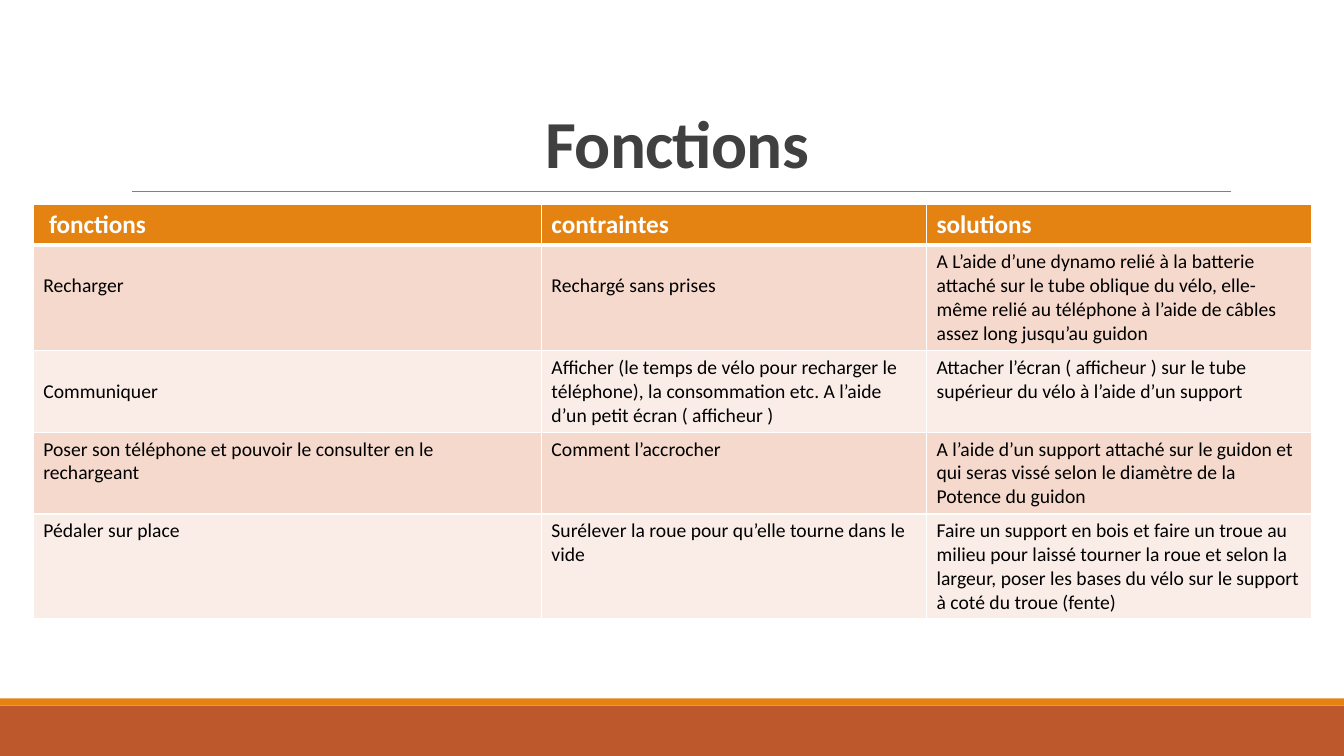
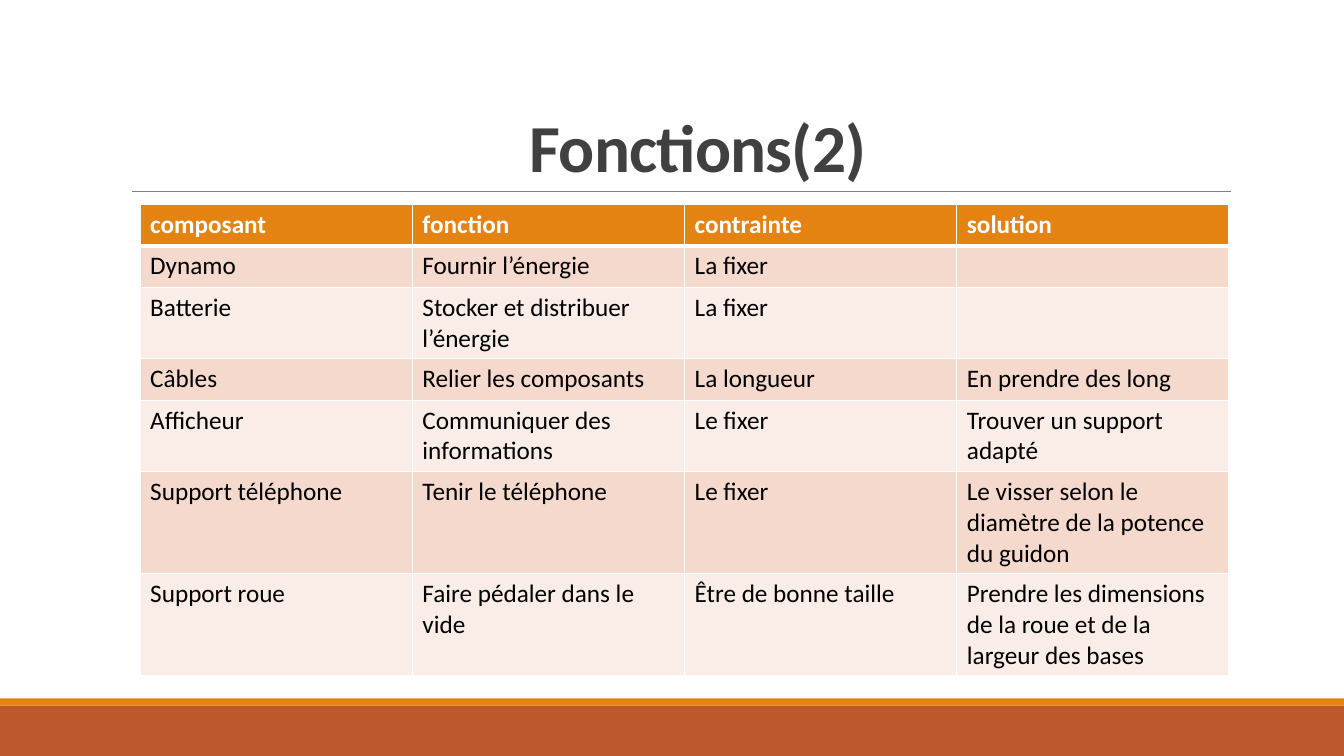
import pptx
import pptx.dml.color
import pptx.enum.shapes
import pptx.enum.text
import pptx.oxml
import pptx.util
from pptx.util import Inches

ORANGE, RUST, WHITE = "E48312", "BD582C", "FFFFFF"
BODY_FILLS = ["F5D9CC", "FAEDE7"]
BANDS = [(7, 0.5, RUST), (6.93, 0.07, ORANGE)]  # top, height, colour
TITLE_FONT = {"name": "Calibri", "size": pptx.util.Pt(48), "bold": True}
NAMESPACE = "http://schemas.openxmlformats.org/drawingml/2006/main"

SLIDES = [
    {
        "title": "Fonctions",
        "title_top": 0.27,
        "title_indent": 4.21,
        "left": 0.33,
        "columns": [5.04, 3.82, 3.82],
        "heights": [0.4, 1.05, 0.81, 0.81, 1.04],
        "size": 14,
        "lowered": [(1, 0), (1, 1), (2, 0)],  # cells that start one line down
        "rows": [
            [" fonctions", "contraintes", "solutions"],
            ["Recharger", "Rechargé sans prises",
             "A L’aide d’une dynamo relié à la batterie attaché sur le tube oblique du vélo, "
             "elle-même relié au téléphone à l’aide de câbles assez long jusqu’au guidon"],
            ["Communiquer",
             "Afficher (le temps de vélo pour recharger le téléphone), la consommation etc. "
             "A l’aide d’un petit écran ( afficheur )",
             "Attacher l’écran ( afficheur ) sur le tube supérieur du vélo à l’aide d’un support"],
            ["Poser son téléphone et pouvoir le consulter en le rechargeant",
             "Comment l’accrocher",
             "A l’aide d’un support attaché sur le guidon et qui seras vissé selon le diamètre "
             "de la\nPotence du guidon"],
            ["Pédaler sur place", "Surélever la roue pour qu’elle tourne dans le vide",
             "Faire un support en bois et faire un troue au milieu pour laissé tourner la roue "
             "et selon la largeur, poser les bases du vélo sur le support à coté du troue (fente)"],
        ],
    },
    {
        "title": "Fonctions(2)",
        "title_top": 0.31,
        "title_indent": 4.05,
        "left": 1.39,
        "columns": [2.7] * 4,
        "heights": [0.41, 0.41, 0.71, 0.41, 0.71, 1.01, 1.01],
        "size": 18,
        "lowered": [],
        "rows": [
            ["composant", "fonction", "contrainte", "solution"],
            ["Dynamo", "Fournir l’énergie", "La fixer", ""],
            ["Batterie", "Stocker et distribuer l’énergie", "La fixer", ""],
            ["Câbles", "Relier les composants", "La longueur", "En prendre des long"],
            ["Afficheur", "Communiquer des informations", "Le fixer",
             "Trouver un support adapté"],
            ["Support téléphone", "Tenir le téléphone", "Le fixer",
             "Le visser selon le diamètre de la potence du guidon"],
            ["Support roue", "Faire pédaler dans le vide", "Être de bonne taille",
             "Prendre les dimensions de la roue et de la largeur des bases"],
        ],
    },
]


def paint(target, colour):
    """Give a fill or a line's fill a solid colour."""
    target.solid()
    target.fore_color.rgb = pptx.dml.color.RGBColor.from_string(colour)


def style_text(frame, formats, colour):
    for para in frame.paragraphs:
        for span in para.runs:
            for name, value in formats.items():
                setattr(span.font, name, value)
            paint(span.font.fill, colour)


deck = pptx.Presentation()
deck.slide_width, deck.slide_height = Inches(13.33), Inches(7.5)

for content in SLIDES:
    page = deck.slides.add_slide(deck.slide_layouts[6])

    for top, height, colour in BANDS:
        band = page.shapes.add_shape(pptx.enum.shapes.MSO_SHAPE.RECTANGLE, 0, Inches(top),
                                     deck.slide_width, Inches(height))
        band.shadow.inherit = False
        band.line.fill.background()
        paint(band.fill, colour)

    rule = page.shapes.add_connector(pptx.enum.shapes.MSO_CONNECTOR.STRAIGHT,
                                     Inches(1.31), Inches(1.9), Inches(12.21), Inches(1.9))
    rule.line.width = pptx.util.Pt(0.5)
    paint(rule.line.fill, "808080")
    rule._element.spPr.append(pptx.oxml.parse_xml(f'<a:effectLst xmlns:a="{NAMESPACE}"/>'))

    box = page.shapes.add_textbox(Inches(1.2), Inches(content["title_top"]),
                                  Inches(11), Inches(1.59))
    frame = box.text_frame
    frame.word_wrap = True
    frame.vertical_anchor = pptx.enum.text.MSO_ANCHOR.BOTTOM
    frame.margin_left = Inches(content["title_indent"])
    frame.text = content["title"]
    para = frame.paragraphs[0]
    para.line_spacing = 0.85
    para.runs[0]._r.get_or_add_rPr().set("spc", "-50")
    style_text(frame, TITLE_FONT, "404040")

    rows, columns, heights = content["rows"], content["columns"], content["heights"]
    table = page.shapes.add_table(len(rows), len(columns), Inches(content["left"]), Inches(2.03),
                                  Inches(sum(columns)), Inches(sum(heights))).table
    for column, width in zip(table.columns, columns):
        column.width = Inches(width)
    for row, height in zip(table.rows, heights):
        row.height = Inches(height)

    for r, texts in enumerate(rows):
        header = r == 0
        for c, text in enumerate(texts):
            cell = table.cell(r, c)
            cell.text = text
            if (r, c) in content["lowered"]:
                cell.margin_top = Inches(0.29)
            formats = {"name": "Calibri", "bold": header,
                       "size": pptx.util.Pt(18 if header else content["size"])}
            style_text(cell.text_frame, formats, WHITE if header else "000000")

            widths = {"lnL": 1, "lnR": 1, "lnT": 3 if r == 1 else 1, "lnB": 3 if header else 1}
            for side, points in widths.items():
                cell._tc.get_or_add_tcPr().append(pptx.oxml.parse_xml(
                    f'<a:{side} xmlns:a="{NAMESPACE}" w="{pptx.util.Pt(points)}"><a:solidFill>'
                    f'<a:srgbClr val="{WHITE}"/></a:solidFill></a:{side}>'))
            paint(cell.fill, ORANGE if header else BODY_FILLS[(r - 1) % 2])

deck.save("out.pptx")
